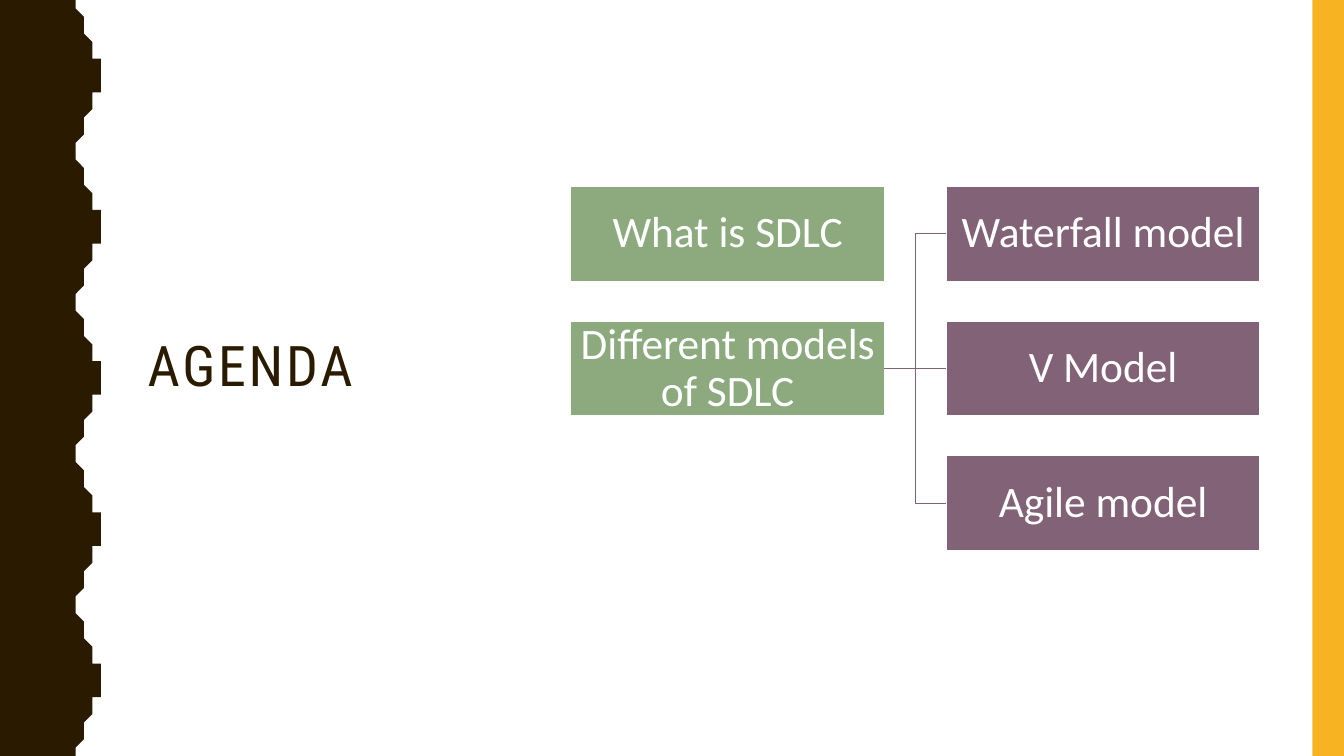
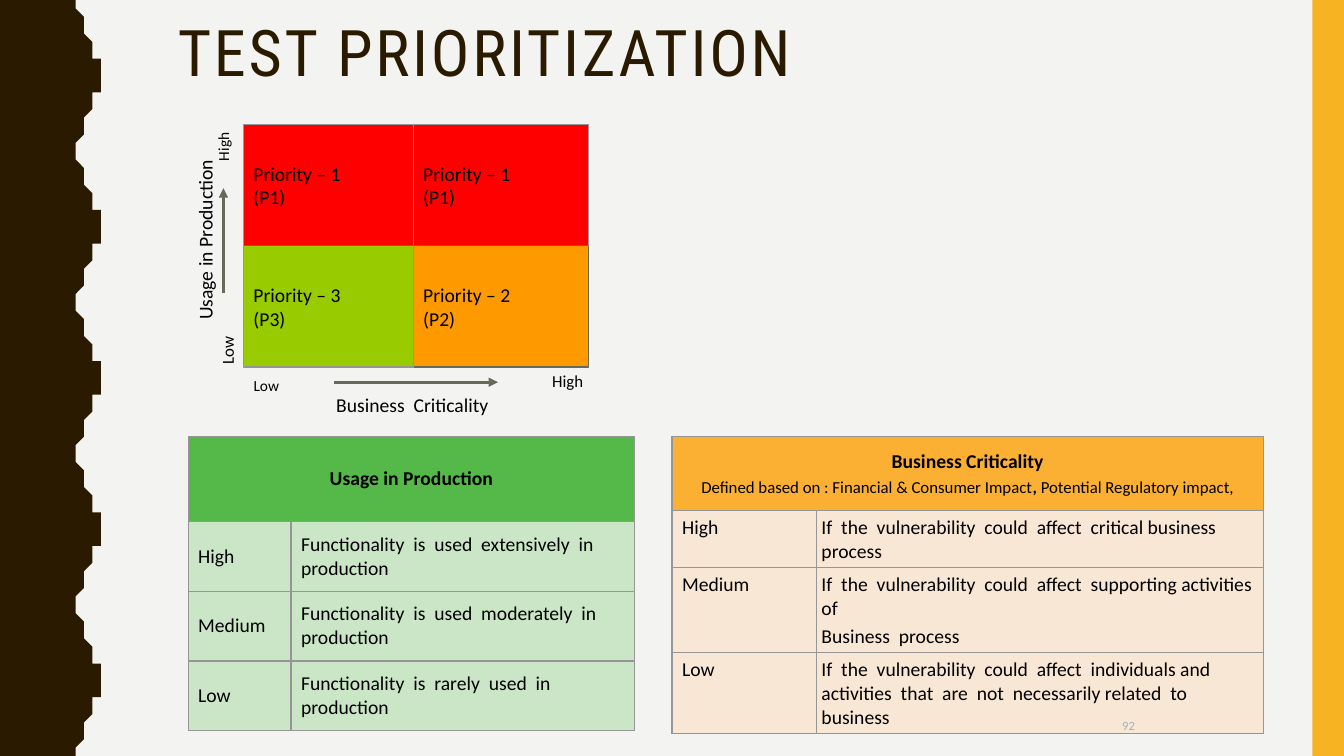
"""Build two slides on software testing: an agenda and test prioritization."""
import lxml.etree
import pptx
import pptx.dml.color
import pptx.enum.shapes
import pptx.enum.text
import pptx.oxml
import pptx.oxml.ns
import pptx.util

RGB = pptx.dml.color.RGBColor
ALIGN = pptx.enum.text.PP_ALIGN
ANCHOR = pptx.enum.text.MSO_ANCHOR
CONNECTOR = pptx.enum.shapes.MSO_CONNECTOR
RECT = pptx.enum.shapes.MSO_SHAPE.RECTANGLE

COLS, ROWS = 160, 90
CELL = pptx.util.Inches(7.5) / ROWS

WHITE = RGB(0xFF, 0xFF, 0xFF)
BLACK = RGB(0, 0, 0)
PALE = RGB(0xF3, 0xF3, 0xF2)
BROWN = RGB(0x2A, 0x1A, 0x00)
AMBER = RGB(0xF8, 0xB3, 0x23)
SAGE = RGB(0x8C, 0xAA, 0x7E)
PLUM = RGB(0x82, 0x62, 0x76)
BLUE = RGB(0x4E, 0x84, 0xC4)
GREY = RGB(0x96, 0x96, 0x96)
OLIVE = RGB(0x65, 0x6A, 0x59)
RED = RGB(0xFF, 0, 0)
ORANGE = RGB(0xFF, 0x99, 0)
LIME = RGB(0x99, 0xCC, 0)
GREEN = RGB(0x54, 0xB9, 0x48)
MINT = RGB(0xA4, 0xDA, 0x9E)
GOLD = RGB(0xFB, 0xB0, 0x34)
PEACH = RGB(0xFF, 0xDC, 0xB9)

BODY_FONT, TITLE_FONT = "Calibri", "Roboto Condensed"
WAVE_PERIOD, WAVE_MIDDLE = 18, 10.5
WAVE_QUARTER = [(9.36, 0), (9.4, 0.84), (9.5, 1.68), (9.6, 2.4),
                (9.75, 3), (9.95, 3.5), (10.2, 4), (WAVE_MIDDLE, 4.5)]


def grid(*cells):
    return [round(c * CELL) for c in cells]


def style(p, size, color=BLACK, align=ALIGN.LEFT, bold=False, font=BODY_FONT):
    p.alignment = align
    p.font.name, p.font.size, p.font.bold = font, pptx.util.Pt(size), bold
    p.font.color.rgb = color


def write(tf, text, size, gap=0, **look):
    for i, line in enumerate(text.split("\n")):
        p = tf.add_paragraph() if i else tf.paragraphs[0]
        p.add_run().text = line
        if i and gap:
            p.space_before = pptx.util.Pt(gap)
        style(p, size, **look)


def label(slide, text, box, size, rotation=0, anchor=ANCHOR.TOP, **look):
    sp = slide.shapes.add_textbox(*grid(*box))
    sp.rotation = rotation
    tf = sp.text_frame
    tf.word_wrap, tf.vertical_anchor = True, anchor
    write(tf, text, size, **look)
    return sp


def title(slide, text, box, size, anchor=ANCHOR.TOP):
    sp = label(slide, text, box, size, anchor=anchor, color=BROWN, font=TITLE_FONT)
    p = sp.text_frame.paragraphs[0]
    p.line_spacing = 0.9
    p.runs[0].font._element.set("spc", "200")


def paint(sp, fill, line=None):
    sp.shadow.inherit = False
    sp.fill.solid()
    sp.fill.fore_color.rgb = fill
    if line is None:
        sp.line.fill.background()
    else:
        sp.line.color.rgb, sp.line.width = line, pptx.util.Pt(1)


def block(slide, box, fill, line=None):
    sp = slide.shapes.add_shape(RECT, *grid(*box))
    paint(sp, fill, line)
    sp.text_frame.word_wrap = True
    sp.text_frame.vertical_anchor = ANCHOR.MIDDLE
    return sp


def connect(slide, ends, color, width, kind=CONNECTOR.STRAIGHT, arrow=False):
    sp = slide.shapes.add_connector(kind, *grid(*ends))
    sp.line.color.rgb, sp.line.width = color, pptx.util.Pt(width)
    if arrow:
        ln = sp.line._get_or_add_ln()
        lxml.etree.SubElement(ln, pptx.oxml.ns.qn("a:tailEnd")).set("type", "triangle")
    lxml.etree.SubElement(sp._element.spPr, pptx.oxml.ns.qn("a:effectLst"))
    return sp


def wave_edge():
    half = WAVE_QUARTER + [(2 * WAVE_MIDDLE - x, WAVE_PERIOD / 2 - y)
                           for x, y in reversed(WAVE_QUARTER[:-1])]
    period = half + [(x, WAVE_PERIOD - y) for x, y in reversed(half[1:-1])]
    return [(x, y + k * WAVE_PERIOD)
            for k in range(ROWS // WAVE_PERIOD) for x, y in period]


def new_slide(prs, background):
    slide = prs.slides.add_slide(prs.slide_layouts[6])
    slide.background.fill.solid()
    slide.background.fill.fore_color.rgb = background
    wave = slide.shapes.build_freeform(0, 0, scale=CELL)
    wave.add_line_segments(wave_edge() + [(WAVE_QUARTER[0][0], ROWS), (0, ROWS)])
    paint(wave.convert_to_shape(), BROWN)
    block(slide, (156.25, 0, COLS - 156.25, ROWS), AMBER)
    return slide


def dress_cell(cell, fill, alpha):
    cell.fill.solid()
    cell.fill.fore_color.rgb = fill
    tcPr = cell._tc.get_or_add_tcPr()
    if alpha < 100:
        color = tcPr.find(".//" + pptx.oxml.ns.qn("a:srgbClr"))
        lxml.etree.SubElement(color, pptx.oxml.ns.qn("a:alpha")).set("val", str(alpha * 1000))
    for i, side in enumerate("LRTB"):
        tcPr.insert(i, pptx.oxml.parse_xml(
            f'<a:ln{side} {pptx.oxml.ns.nsdecls("a")} w="12700"><a:solidFill>'
            f'<a:srgbClr val="{GREY}"/></a:solidFill></a:ln{side}>'))


def level_table(slide, corner, widths, heights, heading, levels, head_fill, body_fill, anchor):
    table = slide.shapes.add_table(
        len(heights), 2, *grid(*corner, sum(widths), sum(heights))).table
    table.first_row = table.horz_banding = False
    for col, width in zip(table.columns, grid(*widths)):
        col.width = width
    for row, height in zip(table.rows, grid(*heights)):
        row.height = height
    for r, texts in enumerate([(heading, "")] + levels):
        for c, text in enumerate(texts):
            cell = table.cell(r, c)
            dress_cell(cell, body_fill if r else head_fill, 50 if r else 100)
            cell.vertical_anchor = anchor if r else ANCHOR.MIDDLE
            if text:
                write(cell.text_frame, text, 14, gap=3, bold=r == 0,
                      align=ALIGN.LEFT if r else ALIGN.CENTER)
    table.cell(0, 0).merge(table.cell(0, 1))
    return table


def agenda_slide(prs):
    slide = new_slide(prs, WHITE)
    title(slide, "AGENDA", (16.4, 8.4, 44.4, 71), 40, ANCHOR.MIDDLE)
    columns = [(SAGE, ["What is SDLC", "Different models of SDLC"]),
               (PLUM, ["Waterfall model", "V Model", "Agile model"])]
    boxes = []
    for c, (fill, texts) in enumerate(columns):
        for r, text in enumerate(texts):
            sp = block(slide, (67.95 + 44.7 * c, 22.15 + 16.05 * r, 37.35, 11.35), fill, WHITE)
            tf = sp.text_frame
            tf.margin_left = tf.margin_right = tf.margin_top = tf.margin_bottom = pptx.util.Inches(0.02)
            write(tf, text, 31, color=WHITE, align=ALIGN.CENTER)
            tf.paragraphs[0].line_spacing = 0.9
            boxes.append(sp)
    parent = boxes[1]
    for child in boxes[2:]:
        kind = CONNECTOR.STRAIGHT if child.top == parent.top else CONNECTOR.ELBOW
        sp = connect(slide, (0, 0, 1, 1), PLUM, 1, kind)
        sp.begin_connect(parent, 3)
        sp.end_connect(child, 1)


def priority_matrix(slide):
    left, top, widths, height = 29, 14.8, (20.2, 20.85), 14.45
    cells = [(0, 0, 1, RED, GREY), (1, 1, 2, ORANGE, OLIVE),
             (0, 1, 3, LIME, GREY), (1, 0, 1, RED, GREY)]
    for c, r, level, fill, line in cells:
        sp = block(slide, (left + sum(widths[:c]), top + r * height, widths[c], height), fill, line)
        write(sp.text_frame, f"Priority – {level}\n(P{level})", 14)
    middle = top + height
    connect(slide, (left, middle, left + sum(widths), middle), OLIVE, 0.75)
    for ends in [(39.8, 45.5, 59.3, 45.5), (26.6, 34.9, 26.6, 22.4)]:
        connect(slide, ends, OLIVE, 2.25, arrow=True)
    for text, box, size, rotation, align in [
            ("High", (23.3, 15.4, 6.5, 3.4), 11, 270, ALIGN.LEFT),
            ("Low", (22.9, 38.65, 8.3, 3.6), 12, 270, ALIGN.LEFT),
            ("Usage in Production", (12.45, 26.5, 24, 4.1), 14, 270, ALIGN.CENTER),
            ("Low", (29, 44.15, 9, 3.4), 11, 0, ALIGN.LEFT),
            ("High", (64.55, 43.55, 8.2, 3.6), 12, 0, ALIGN.LEFT),
            ("Business  Criticality", (37.1, 46.2, 24, 4.1), 14, 0, ALIGN.CENTER)]:
        label(slide, text, box, size, rotation, align=align)


def usage_table(slide):
    levels = [(level, f"Functionality  is  {use}  in production") for level, use in [
        ("High", "used  extensively"), ("Medium", "used  moderately"), ("Low", "rarely  used")]]
    level_table(slide, (22.4, 52), (12.25, 40.9), (10.1, 8.3, 8.3, 8.3),
                "Usage in Production", levels, GREEN, MINT, ANCHOR.MIDDLE)


def criticality_table(slide):
    levels = [(level, f"If  the  vulnerability  could  affect  {effect}") for level, effect in [
        ("High", "critical business  process"),
        ("Medium", "supporting activities  of\nBusiness  process"),
        ("Low", "individuals and  activities  that  are  not  necessarily related  to  business")]]
    table = level_table(slide, (80, 52), (17.2, 53.2), (8.8, 6.7, 10, 9.4),
                        "Business Criticality", levels, GOLD, PEACH, ANCHOR.TOP)
    for r in range(1, 4):
        cell = table.cell(r, 1)
        cell.margin_left, cell.margin_right = pptx.util.Inches(0.05), 0
    p = table.cell(0, 0).text_frame.add_paragraph()
    for text, bold in [("Defined based on : Financial & Consumer Impact", False),
                       (", ", True), ("Potential Regulatory impact,", False)]:
        r = p.add_run()
        r.text, r.font.bold = text, bold
    p.space_before = pptx.util.Pt(3)
    style(p, 12, align=ALIGN.CENTER)


def prioritization_slide(prs):
    slide = new_slide(prs, PALE)
    label(slide, "92", (131.3, 84.85, 5, 3.5), 9, color=BLUE, align=ALIGN.RIGHT)
    title(slide, "TEST PRIORITIZATION", (20, 1.9, 120, 5.8), 45.9)
    usage_table(slide)
    criticality_table(slide)
    priority_matrix(slide)


def main():
    prs = pptx.Presentation()
    prs.slide_width, prs.slide_height = grid(COLS, ROWS)
    agenda_slide(prs)
    prioritization_slide(prs)
    prs.save("out.pptx")


if __name__ == "__main__":
    main()
